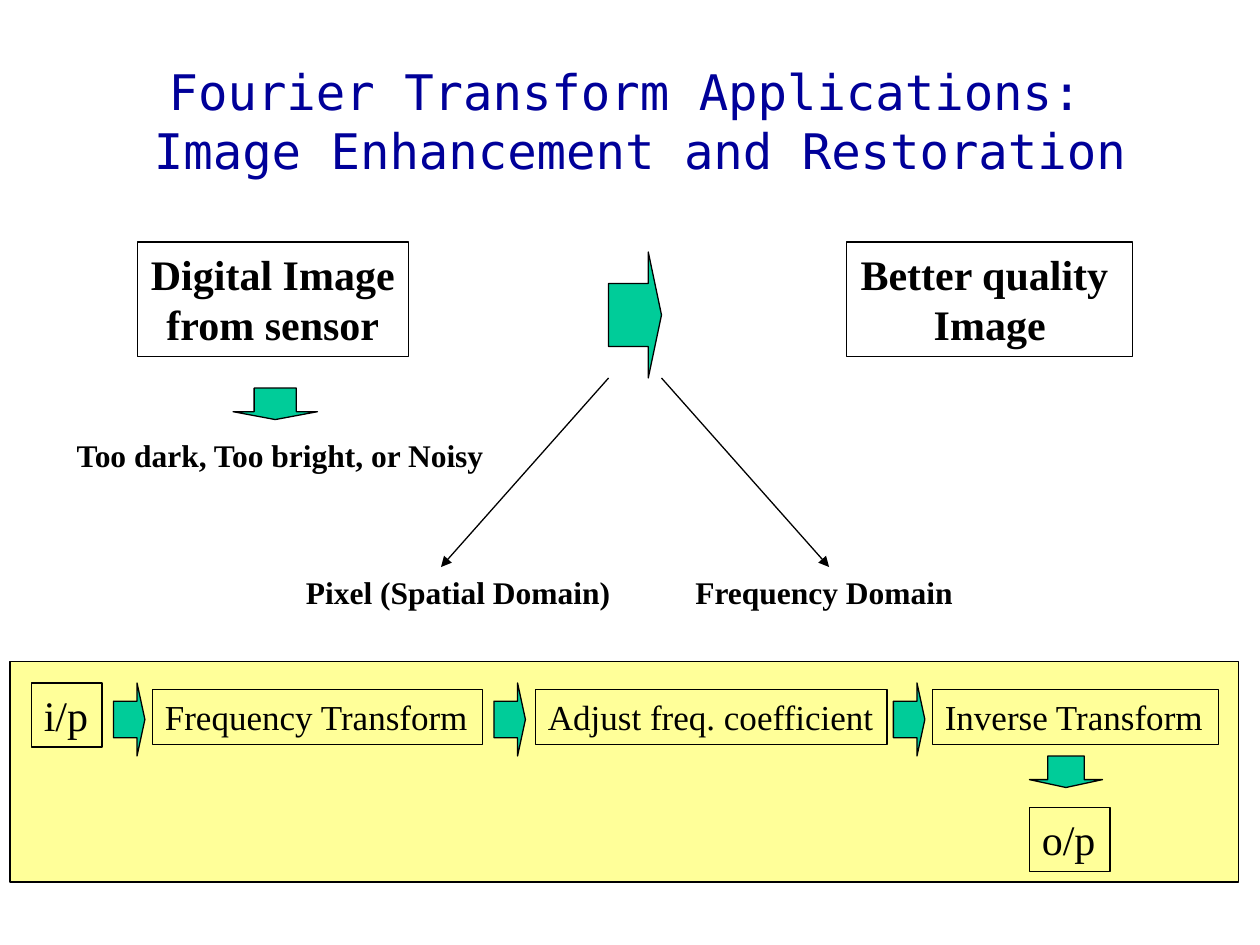
from lxml import etree
from pptx import Presentation
from pptx import util as u
from pptx.dml.color import RGBColor
from pptx.enum import shapes, text
from pptx.oxml import ns

COLORS = {"ink": "000000", "title": "000099", "arrow": "00CC99", "panel": "FFFF99"}
SERIF, MONO = "Times New Roman", "DejaVu Sans Mono"
RECT = shapes.MSO_SHAPE.RECTANGLE
RIGHT, DOWN = shapes.MSO_SHAPE.RIGHT_ARROW, shapes.MSO_SHAPE.DOWN_ARROW


def rgb(name):
    return RGBColor.from_string(COLORS[name])


def inches(*lengths):
    return [u.Inches(length) for length in lengths]


def outline(part):
    part.line.color.rgb = rgb("ink")
    part.line.width = u.Pt(0.75)


def add_block(slide, preset, x, y, w, h, fill=None):
    """Outlined shape, hollow unless a fill is named."""
    block = slide.shapes.add_shape(preset, *inches(x, y, w, h))
    block.shadow.inherit = False
    outline(block)
    if fill:
        block.fill.solid()
        block.fill.fore_color.rgb = rgb(fill)
    else:
        block.fill.background()
    return block


def add_text(slide, wording, x, y, w, h, size=18, font=SERIF, color="ink", bold=False,
             centered=False, boxed=False, wrap=False, anchor=text.MSO_ANCHOR.TOP):
    if boxed:
        holder = add_block(slide, RECT, x, y, w, h)
    else:
        holder = slide.shapes.add_textbox(*inches(x, y, w, h))
    frame = holder.text_frame
    frame.text = wording
    frame.word_wrap = wrap
    frame.vertical_anchor = anchor
    for paragraph in frame.paragraphs:
        paragraph.alignment = text.PP_ALIGN.CENTER if centered else text.PP_ALIGN.LEFT
        for run in paragraph.runs:
            run.font.name = font
            run.font.size = u.Pt(size)
            run.font.bold = bold
            run.font.color.rgb = rgb(color)


def add_block_arrow(slide, preset, x, y, w, h):
    arrow = add_block(slide, preset, x, y, w, h, fill="arrow")
    arrow.adjustments[1] = 0.25


def add_thin_arrow(slide, x1, y1, x2, y2):
    arrow = slide.shapes.add_connector(shapes.MSO_CONNECTOR.STRAIGHT, *inches(x1, y1, x2, y2))
    outline(arrow)
    etree.SubElement(arrow.line._get_or_add_ln(), ns.qn("a:tailEnd"), type="triangle")
    etree.SubElement(arrow._element.spPr, ns.qn("a:effectLst"))


def add_title(slide, x, y, w, h):
    add_text(slide, "Fourier Transform Applications: \vImage Enhancement and Restoration",
             x, y, w, h, size=28, font=MONO, color="title", centered=True, wrap=True,
             anchor=text.MSO_ANCHOR.MIDDLE)


def add_enhancement(slide, x, y, w, h):
    """Sensor image to better image, with the two domains below."""
    heading = dict(size=24, bold=True, centered=True, boxed=True)
    box_h, label_h = 0.91, 0.4
    add_text(slide, "Digital Image\nfrom sensor", x + 0.58, y, 2.15, box_h, **heading)
    add_text(slide, "Better quality \nImage", x + w - 2.27, y, 2.27, box_h, **heading)

    add_block_arrow(slide, DOWN, x + 1.34, y + 1.16, 0.67, 0.25)
    add_text(slide, "Too dark, Too bright, or Noisy", x, y + 1.49, 3.49, label_h, bold=True)

    arrow_x, arrow_w = x + 4.32, 0.42
    add_block_arrow(slide, RIGHT, arrow_x, y + 0.08, arrow_w, 1)
    fork_y, label_y, spread = y + 1.08, y + h - label_h, 1.33
    domains = [("Pixel (Spatial Domain)", x + 1.82, 2.62, arrow_x, -spread),
               ("Frequency Domain", x + 4.91, 2.25, arrow_x + arrow_w, spread)]
    for name, label_x, label_w, start, shift in domains:
        add_text(slide, name, label_x, label_y, label_w, label_h, bold=True)
        add_thin_arrow(slide, start, fork_y, start + shift, label_y)


def add_pipeline(slide, x, y, w, h):
    """Frequency-domain steps from input to output."""
    add_block(slide, RECT, x, y, w, h, fill="panel")
    row_y, arrow_w, arrow_h = y + 0.17, 0.25, 0.58

    port = dict(size=24, boxed=True)
    add_text(slide, "i/p", x + 0.17, row_y, 0.56, 0.51, **port)
    steps = [("Frequency Transform", 1.13, 2.62, 0.31),
             ("Adjust freq. coefficient", 4.17, 2.79, 0.33),
             ("Inverse Transform", 7.32, 2.27, 0.31)]
    for name, left, step_w, lead in steps:
        add_block_arrow(slide, RIGHT, x + left - lead, row_y, arrow_w, arrow_h)
        add_text(slide, name, x + left, row_y + 0.05, step_w, 0.44, size=20, boxed=True)

    output_x = x + 8.09
    add_block_arrow(slide, DOWN, output_x, row_y + arrow_h, arrow_h, arrow_w)
    add_text(slide, "o/p", output_x, y + 1.16, 0.64, 0.51, **port)


def main():
    deck = Presentation()
    deck.slide_width, deck.slide_height = inches(10, 7.5)
    slide = deck.slides.add_slide(deck.slide_layouts[6])
    add_title(slide, 0.83, 0.33, 8.5, 1.25)
    add_enhancement(slide, 0.51, 1.92, 8.48, 2.98)
    add_pipeline(slide, 0.08, 5.25, 9.75, 1.75)
    deck.save("out.pptx")


if __name__ == "__main__":
    main()
